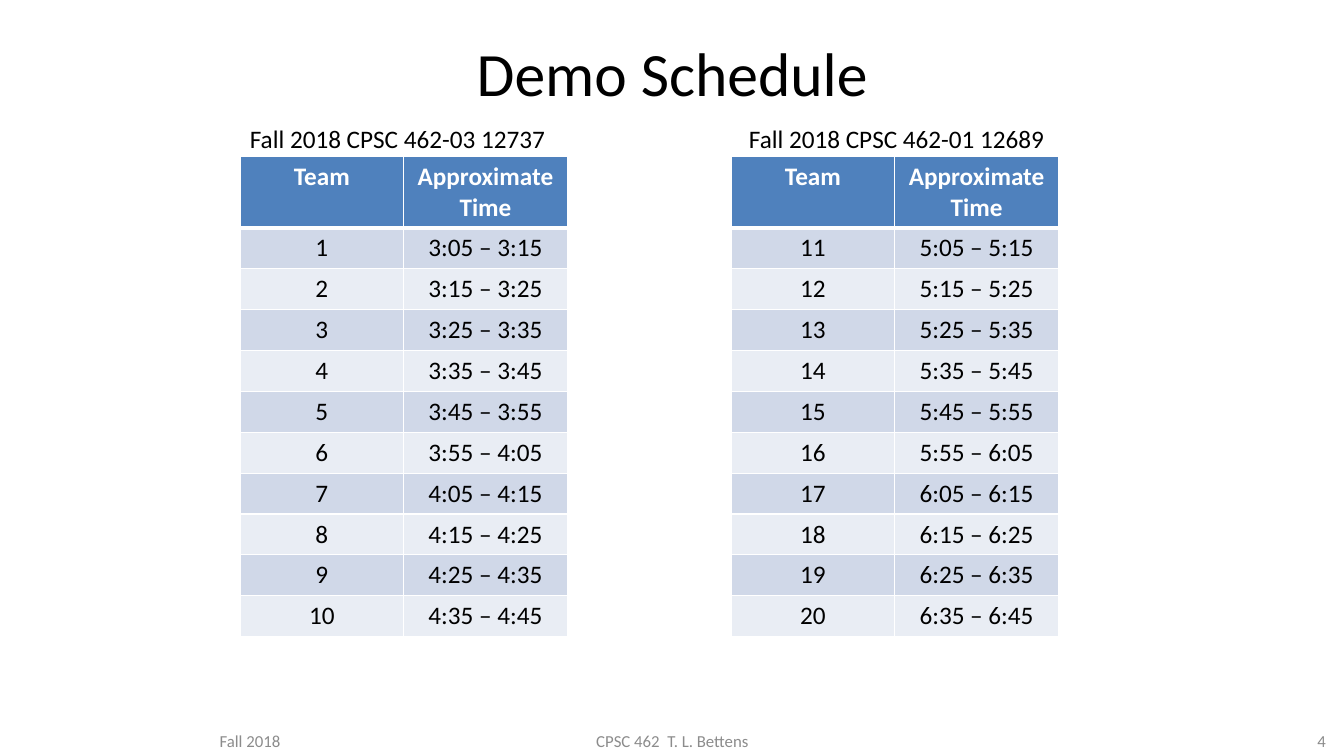
from dataclasses import dataclass

from lxml import etree
from pptx import Presentation
from pptx.dml.color import RGBColor
from pptx.enum.text import MSO_ANCHOR, MSO_AUTO_SIZE, PP_ALIGN
from pptx.oxml.ns import qn
from pptx.util import Inches, Pt

LEFT, CENTER, RIGHT = PP_ALIGN.LEFT, PP_ALIGN.CENTER, PP_ALIGN.RIGHT
TOP, BOTTOM = MSO_ANCHOR.TOP, MSO_ANCHOR.BOTTOM
FIT_SHAPE = MSO_AUTO_SIZE.SHAPE_TO_FIT_TEXT


@dataclass(frozen=True)
class Theme:
    font: str = "Calibri"
    title: int = 44
    body: int = 18
    footer: int = 12
    text: str = "000000"
    muted: str = "8C8C8C"
    white: str = "FFFFFF"
    header: str = "4F81BD"
    bands: tuple = ("D0D8E8", "E9EDF4")
    rule: int = 1
    header_rule: int = 3


class SlideBuilder:
    def __init__(self, slide, theme):
        self.slide = slide
        self.theme = theme

    def style(self, p, size, color, align, bold=False):
        p.alignment = align
        p.font.name = self.theme.font
        p.font.size = Pt(size)
        p.font.bold = bold
        p.font.color.rgb = RGBColor.from_string(color)

    def text(self, text, box, size, color, align=LEFT, anchor=TOP):
        sp = self.slide.shapes.add_textbox(*map(Inches, box))
        tf = sp.text_frame
        tf.word_wrap = True
        tf.vertical_anchor = anchor
        p = tf.paragraphs[0]
        p.text = text
        self.style(p, size, color, align)
        return sp

    def caption(self, text, box, tab):
        sp = self.text(text, box, self.theme.body, self.theme.text)
        tf = sp.text_frame
        tf.auto_size = FIT_SHAPE
        pPr = tf.paragraphs[0]._p.get_or_add_pPr()
        tabs = etree.Element(qn("a:tabLst"))
        etree.SubElement(tabs, qn("a:tab"), pos=str(Inches(tab)), algn="r")
        pPr.insert(0, tabs)

    def borders(self, cell, row):
        t = self.theme
        top = t.header_rule if row == 1 else t.rule
        bottom = t.header_rule if row == 0 else t.rule
        tcPr = cell._tc.get_or_add_tcPr()
        widths = {"a:lnL": t.rule, "a:lnR": t.rule, "a:lnT": top, "a:lnB": bottom}
        for tag, width in widths.items():
            ln = etree.SubElement(tcPr, qn(tag), w=str(Pt(width)))
            fill = etree.SubElement(ln, qn("a:solidFill"))
            etree.SubElement(fill, qn("a:srgbClr"), val=t.white)

    def table(self, rows, box, header_height):
        t = self.theme
        left, top, width, height = box
        n_rows, n_cols = len(rows), len(rows[0])
        frame = self.slide.shapes.add_table(n_rows, n_cols, *map(Inches, box))
        table = frame.table
        table.horz_banding = False
        for column in table.columns:
            column.width = Inches(width / n_cols)
        for i, values in enumerate(rows):
            is_header = i == 0
            body_height = (height - header_height) / (n_rows - 1)
            table.rows[i].height = Inches(header_height if is_header else body_height)
            fill = t.header if is_header else t.bands[(i - 1) % 2]
            color = t.white if is_header else t.text
            for j, value in enumerate(values):
                cell = table.cell(i, j)
                self.borders(cell, i)
                p = cell.text_frame.paragraphs[0]
                self.style(p, t.body, color, CENTER, is_header)
                if value:
                    p.text = value
                    cell.fill.solid()
                    cell.fill.fore_color.rgb = RGBColor.from_string(fill)
                else:
                    cell.fill.background()


def clock(minutes):
    return f"{minutes // 60}:{minutes % 60:02d}"


def slot(start, index):
    begin = start + 10 * index
    return f"{clock(begin)} – {clock(begin + 10)}"


def schedule(teams=10, first_start=185, second_start=305):
    heading = ["Team", "Approximate Time"]
    rows = [heading + [""] + heading]
    for i in range(teams):
        rows.append([
            str(i + 1), slot(first_start, i), "",
            str(i + 1 + teams), slot(second_start, i),
        ])
    return rows


def main():
    prs = Presentation()
    prs.slide_width, prs.slide_height = Inches(13.33), Inches(7.5)
    theme = Theme()
    s = SlideBuilder(prs.slides.add_slide(prs.slide_layouts[6]), theme)

    s.table(schedule(), (2.38, 1.55, 8.12, 4.76), header_height=0.71)
    footers = (
        ("Fall 2018", 2.08, 2.33, LEFT),
        ("CPSC 462  T. L. Bettens", 4.42, 4.5, CENTER),
        ("4", 10.25, 3, RIGHT),
    )
    for text, left, width, align in footers:
        s.text(text, (left, 6.95, width, 0.55), theme.footer, theme.muted, align, BOTTOM)
    s.text("Demo Schedule", (0.17, 0.3, 13, 1.25), theme.title, theme.text, CENTER)
    s.caption(
        "Fall 2018 CPSC 462-03 12737\tFall 2018 CPSC 462-01 12689",
        (2.38, 1.17, 8.12, 0.4), tab=7.88,
    )
    prs.save("out.pptx")


if __name__ == "__main__":
    main()
